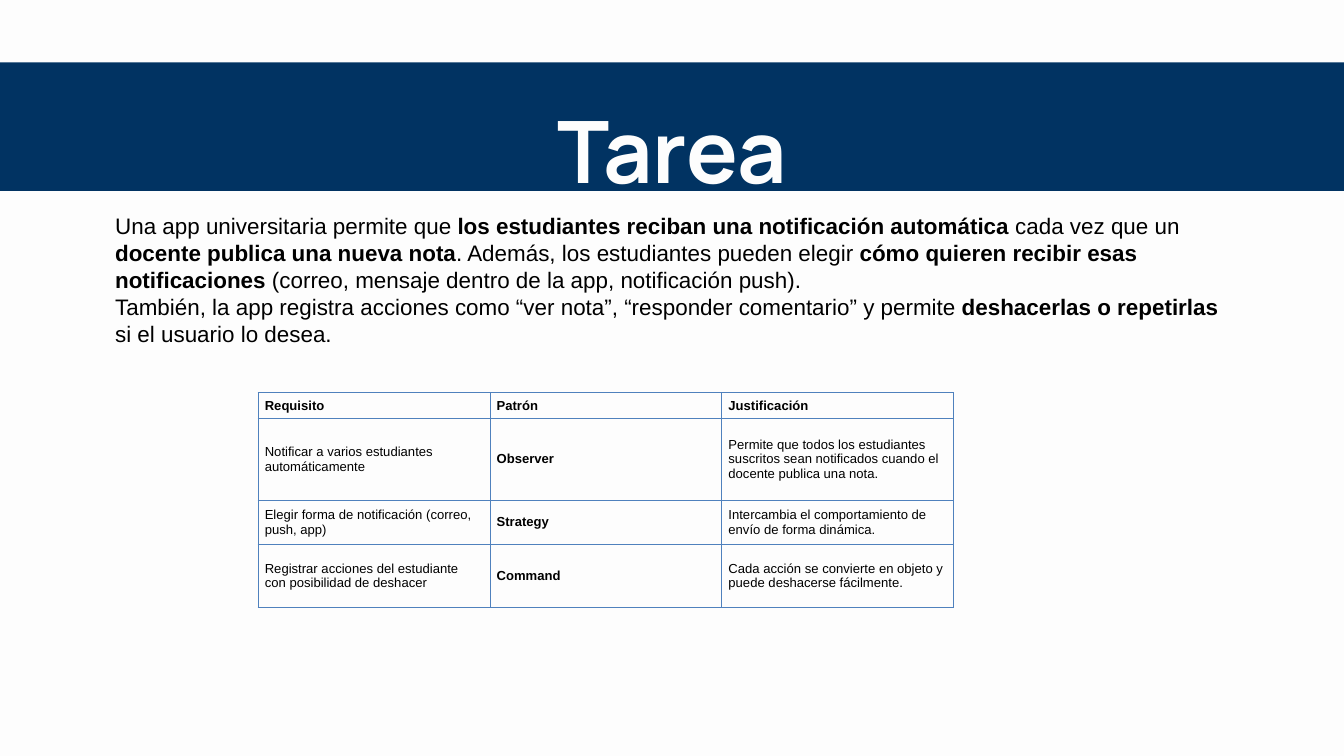
from lxml import etree
from pptx import Presentation, util as u
from pptx.dml.color import RGBColor
from pptx.enum import shapes, text
from pptx.oxml import ns

WIDE, HIGH = 20, 11.25
PALE, NAVY, BLACK, EDGE = "FDFDFD", "013362", "000000", "4F81BD"

# Asterisks enclose the bold words
BODY = [
    "Una app universitaria permite que *los estudiantes reciban una notificación "
    "automática* cada vez que un *docente publica una nueva nota*. Además, los "
    "estudiantes pueden elegir *cómo quieren recibir esas notificaciones* (correo, "
    "mensaje dentro de la app, notificación push).",
    "También, la app registra acciones como “ver nota”, “responder comentario” y "
    "permite *deshacerlas o repetirlas* si el usuario lo desea.",
]
ROWS = [
    (0.39, "*Requisito*", "*Patrón*", "*Justificación*"),
    (1.21, "Notificar a varios estudiantes automáticamente", "*Observer*",
     "Permite que todos los estudiantes suscritos sean notificados cuando el "
     "docente publica una nota."),
    (0.66, "Elegir forma de notificación (correo, push, app)", "*Strategy*",
     "Intercambia el comportamiento de envío de forma dinámica."),
    (0.94, "Registrar acciones del estudiante con posibilidad de deshacer",
     "*Command*", "Cada acción se convierte en objeto y puede deshacerse fácilmente."),
]


def color(code):
    return RGBColor.from_string(code)


def box(top, width, height):
    """Left, top, width and height of a box centred across the slide."""
    return [u.Inches(n) for n in ((WIDE - width) / 2, top, width, height)]


def style(item, form):
    for name, value in form.items():
        setattr(item, name, value)


def write(frame, paras, size, face="Arial", ink=BLACK, **form):
    for i, line in enumerate(paras):
        para = frame.paragraphs[0] if i == 0 else frame.add_paragraph()
        style(para, form)
        for j, part in enumerate(line.split("*")):
            if part:
                run = para.add_run()
                run.text = part
                style(run.font, {"size": u.Pt(size), "name": face, "bold": j % 2 == 1})
                run.font.color.rgb = color(ink)


def add_band(slide, *place):
    band = slide.shapes.add_shape(shapes.MSO_SHAPE.RECTANGLE, *box(*place))
    band.shadow.inherit = False
    band.fill.solid()
    band.fill.fore_color.rgb = color(NAVY)
    band.line.fill.background()


def add_text(slide, place, paras, size, inset=None, **form):
    frame = slide.shapes.add_textbox(*box(*place)).text_frame
    style(frame, {"word_wrap": True, "auto_size": text.MSO_AUTO_SIZE.SHAPE_TO_FIT_TEXT})
    if inset is not None:
        sides = ("left", "right", "top", "bottom")
        style(frame, {f"margin_{side}": inset for side in sides})
    write(frame, paras, size, **form)


def add_edges(cell):
    """Put a thin line on all four sides of a cell."""
    props = cell._tc.get_or_add_tcPr()
    for i, side in enumerate("LRTB"):
        line = etree.Element(ns.qn(f"a:ln{side}"), w=str(u.Pt(1)))
        fill = etree.SubElement(line, ns.qn("a:solidFill"))
        etree.SubElement(fill, ns.qn("a:srgbClr"), val=EDGE)
        props.insert(i, line)


def add_grid(slide, left, top, step):
    cols = len(ROWS[0]) - 1
    high = sum(row[0] for row in ROWS)
    place = [u.Inches(n) for n in (left, top, cols * step, high)]
    grid = slide.shapes.add_table(len(ROWS), cols, *place).table
    style(grid, {"first_row": False, "horz_banding": False})
    for col in grid.columns:
        col.width = u.Inches(step)
    for line, (tall, *words) in zip(grid.rows, ROWS):
        line.height = u.Inches(tall)
        for cell, word in zip(line.cells, words):
            cell.vertical_anchor = text.MSO_ANCHOR.MIDDLE
            cell.fill.background()
            add_edges(cell)
            write(cell.text_frame, [word], 14)


def main():
    deck = Presentation()
    deck.slide_width, deck.slide_height = u.Inches(WIDE), u.Inches(HIGH)
    slide = deck.slides.add_slide(deck.slide_layouts[6])
    back = slide.background.fill
    back.solid()
    back.fore_color.rgb = color(PALE)

    # Heading on its band
    add_band(slide, 0.93, 21.28, 1.91)
    add_text(slide, (0.83, 16.5, 2.17), ["*Tarea*"], 92.2, inset=0, face="Manrope",
             ink=PALE, alignment=text.PP_ALIGN.CENTER, line_spacing=1.4)

    # Task and table of patterns
    add_text(slide, (3.11, 16.77, 2.12), BODY, 24)
    add_grid(slide, 3.84, 5.84, 3.45)
    deck.save("out.pptx")


if __name__ == "__main__":
    main()
